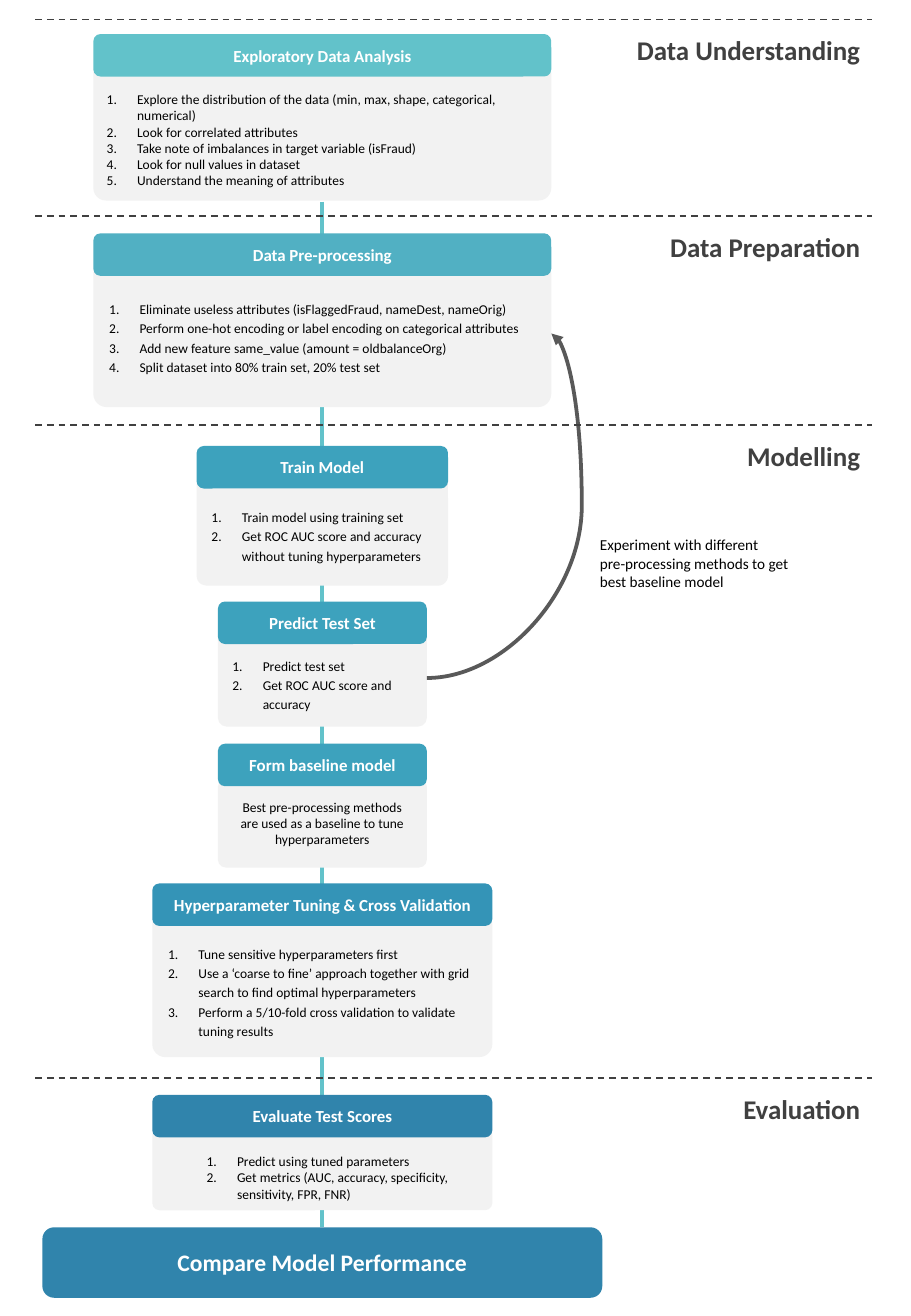
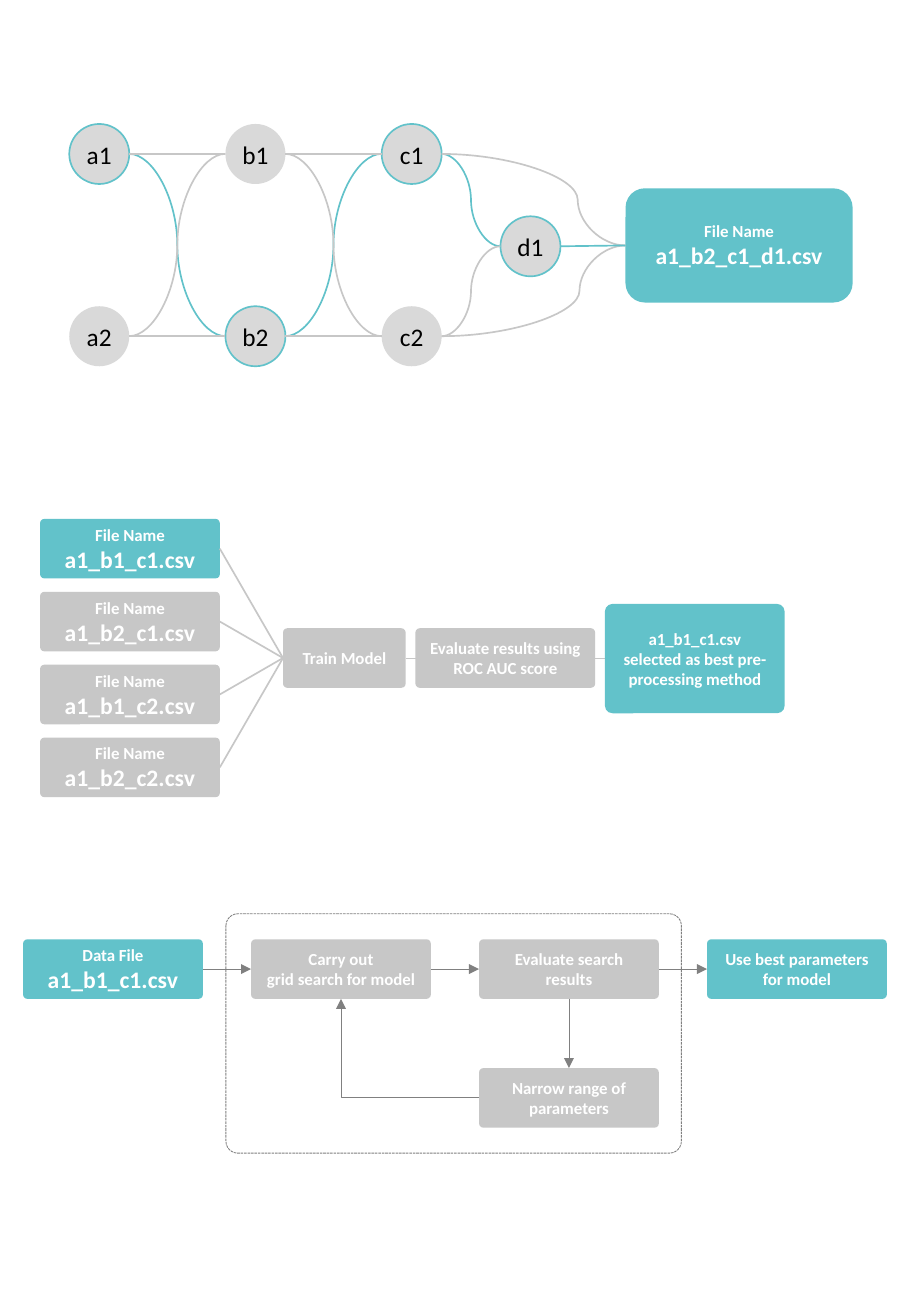
import pptx
import pptx.util
import pptx.dml.color
import pptx.enum.shapes
import pptx.enum.text
import pptx.enum.dml
import pptx.oxml
import pptx.oxml.ns

Form = pptx.enum.shapes.MSO_SHAPE
Link = pptx.enum.shapes.MSO_CONNECTOR
Align = pptx.enum.text.PP_ALIGN
Dash = pptx.enum.dml.MSO_LINE
Pt = pptx.util.Pt
Inch = pptx.util.Inches

# Shared style
FONT = "Calibri"
TEAL, GREY, PALE, DISC = "62C2CA", "C7C7C7", "F2F2F2", "D9D9D9"
DARK, ARROW, SLIM = "404040", "595959", "808080"
BLACK, WHITE = "000000", "FFFFFF"
COLS, ROWS = 75, 108.3
SIDES = {"left": (0, 0.5), "right": (1, 0.5), "top": (0.5, 0), "bottom": (0.5, 1)}


def paint(code):
    return pptx.dml.color.RGBColor.from_string(code)


def node(tag, **traits):
    item = pptx.oxml.parse_xml(f"<a:{tag} {pptx.oxml.ns.nsdecls('a')}/>")
    for name, value in traits.items():
        item.set(name, value)
    return item


class Page:
    """Draws on one slide, measured in grid columns and rows."""

    def __init__(self, deck):
        self.shapes = deck.slides.add_slide(deck.slide_layouts[6]).shapes
        self.col = deck.slide_width / COLS
        self.row = deck.slide_height / ROWS

    def spot(self, x, y):
        return round(x * self.col), round(y * self.row)

    def port(self, shape, side):
        across, down = SIDES[side]
        return (round(shape.left + across * shape.width),
                round(shape.top + down * shape.height))

    def letter(self, shape, text, sizes, color, bold=False, align=Align.CENTER,
               pads=(0.1, 0.05, 0.1, 0.05), space=None, listed=False):
        frame = shape.text_frame
        frame.word_wrap = True
        (frame.margin_left, frame.margin_top,
         frame.margin_right, frame.margin_bottom) = map(Inch, pads)
        frame.text = text
        for i, para in enumerate(frame.paragraphs):
            para.alignment = align
            if space:
                para.line_spacing = space
            if listed:
                props = para._p.get_or_add_pPr()
                props.set("marL", str(Inch(0.25)))
                props.set("indent", str(-Inch(0.25)))
                props.append(node("buAutoNum", type="arabicPeriod"))
            for run in para.runs:
                run.font.name = FONT
                run.font.size = Pt(sizes[min(i, len(sizes) - 1)])
                run.font.bold = bold
                run.font.color.rgb = paint(color)

    def box(self, x, y, w, h, fill=None, curve=None, edge=None,
            form=Form.ROUNDED_RECTANGLE):
        shape = self.shapes.add_shape(form, *self.spot(x, y), *self.spot(w, h))
        shape.shadow.inherit = False
        if curve is not None:
            shape.adjustments[0] = curve
        if fill:
            shape.fill.solid()
            shape.fill.fore_color.rgb = paint(fill)
        else:
            shape.fill.background()
        if edge:
            shape.line.color.rgb = paint(edge)
            shape.line.width = Pt(1)
        else:
            shape.line.fill.background()
        shape.text_frame.vertical_anchor = pptx.enum.text.MSO_ANCHOR.MIDDLE
        return shape

    def label(self, text, x, y, w, h, size, color, **look):
        shape = self.shapes.add_textbox(*self.spot(x, y), *self.spot(w, h))
        self.letter(shape, text, [size], color, **look)
        shape.text_frame.auto_size = pptx.enum.text.MSO_AUTO_SIZE.SHAPE_TO_FIT_TEXT

    def head(self, text, x, y, w, fill, h=3.5, size=10):
        shape = self.box(x, y, w, h, fill)
        self.letter(shape, text, [size], WHITE, bold=True)

    def tile(self, text, x, y, fill=GREY, w=14.8, h=4.9, curve=0.07, sizes=(10,)):
        shape = self.box(x, y, w, h, fill, curve)
        self.letter(shape, text, sizes, WHITE, bold=True)
        return shape

    def disc(self, text, x, y, edge):
        shape = self.box(x, y, 4.94, 4.94, DISC, edge=edge, form=Form.OVAL)
        self.letter(shape, text, [15], BLACK, pads=(0.04, 0.05, 0.04, 0.05))
        return shape

    def wire(self, start, end, color, width=1, kind=Link.STRAIGHT,
             dash=None, arrow=False, bend=None):
        turn = kind == Link.ELBOW
        if turn:
            start, end = end, start
        line = self.shapes.add_connector(kind, *start, *end)
        line.line.color.rgb = paint(color)
        line.line.width = Pt(width)
        if dash:
            line.line.dash_style = dash
        props = line._element.spPr
        shape = props.find(pptx.oxml.ns.qn("a:prstGeom"))
        if turn:  # one corner, drawn back to front by a half turn
            shape.set("prst", "bentConnector2")
            props.find(pptx.oxml.ns.qn("a:xfrm")).set("rot", "10800000")
        if bend:
            guide = node("gd", name="adj1", fmla=f"val {round(bend * 100000)}")
            shape.find(pptx.oxml.ns.qn("a:avLst")).append(guide)
        if arrow:
            props.find(pptx.oxml.ns.qn("a:ln")).append(node("tailEnd", type="triangle"))
        props.append(node("effectLst"))


deck = pptx.Presentation()
deck.slide_width, deck.slide_height = Inch(7.5), Inch(10.83)

# Slide 1: process from data to model choice
page = Page(deck)
AXIS = 26.54
page.wire(page.spot(AXIS, 16.6), page.spot(AXIS, 101), TEAL, 2.25)

# head, colour, width, head top, body top, body height, pads, spacing, lines
steps = [
    ("Exploratory Data Analysis", TEAL, 37.7, 2.8, 5, 11.5,
     (0.08, 0.2, 0.08, 0.05), None,
     ["Explore the distribution of the data (min, max, shape, categorical, numerical)",
      "Look for correlated attributes",
      "Take note of imbalances in target variable (isFraud)",
      "Look for null values in dataset",
      "Understand the meaning of attributes"]),
    ("Data Pre-processing", "51B0C3", 37.7, 19.2, 21.4, 12.1,
     (0.1, 0.21, 0.1, 0.16), 1.2,
     ["Eliminate useless attributes (isFlaggedFraud, nameDest, nameOrig)",
      "Perform one-hot encoding or label encoding on categorical attributes",
      "Add new feature same_value (amount = oldbalanceOrg)",
      "Split dataset into 80% train set, 20% test set"]),
    ("Train Model", "3DA2BD", 20.7, 36.7, 39, 9.2,
     (0.1, 0.2, 0.1, 0.12), 1.2,
     ["Train model using training set",
      "Get ROC AUC score and accuracy without tuning hyperparameters"]),
    ("Predict Test Set", "3DA2BD", 17.2, 49.5, 51.8, 8,
     (0.1, 0.2, 0.1, 0.11), 1.2,
     ["Predict test set", "Get ROC AUC score and accuracy"]),
    ("Form baseline model", "3DA2BD", 17.2, 61.2, 64.1, 7.3,
     (0.1, 0.05, 0.1, 0.05), None,
     ["Best pre-processing methods are used as a baseline to tune hyperparameters"]),
    ("Hyperparameter Tuning & Cross Validation", "3494B7", 28, 72.7, 75, 12,
     (0.1, 0.16, 0.1, 0.05), 1.2,
     ["Tune sensitive hyperparameters first",
      "Use a ‘coarse to fine’ approach together with grid search to find "
      "optimal hyperparameters",
      "Perform a 5/10-fold cross validation to validate tuning results"]),
    ("Evaluate Test Scores", "3084AC", 28, 90.1, 92.8, 6.8,
     (0.43, 0.19, 0.1, 0.05), None,
     ["Predict using tuned parameters",
      "Get metrics (AUC, accuracy, specificity, sensitivity, FPR, FNR)"]),
]
bodies = {}
for title, fill, wide, top, low, high, pads, space, lines in steps:
    left = AXIS - wide / 2
    many = len(lines) > 1
    body = bodies[title] = page.box(left, low, wide, high, PALE, 0.09)
    page.letter(body, "\n".join(lines), [8], BLACK, pads=pads, space=space,
                listed=many, align=Align.LEFT if many else Align.CENTER)
    page.head(title, left, top, wide, fill)
page.head("Compare Model Performance", AXIS - 23.05, 101, 46.1, "3084AC", 5.8, 14)

# Feedback loop
page.wire(page.port(bodies["Predict Test Set"], "right"),
          page.port(bodies["Data Pre-processing"], "right"),
          ARROW, 2.25, Link.CURVE, arrow=True, bend=1.245)
page.label("Experiment with different\npre-processing methods to get best baseline model",
           48.4, 43.6, 17.8, 5.6, 9, BLACK, align=Align.LEFT)

# Stages
EDGE = 71.8
for stage, y, wide in [("Data Understanding", 1.6, 22), ("Data Preparation", 17.8, 19.3),
                       ("Modelling", 35, 19.3), ("Evaluation", 88.7, 19.3)]:
    page.label(stage, EDGE - wide, y + 0.7, wide, 3.7, 16, DARK,
               bold=True, align=Align.RIGHT)
    page.wire(page.spot(2.9, y), page.spot(EDGE, y), DARK, dash=Dash.DASH)

# Slide 2: file naming, model choice and search
page = Page(deck)
discs = {}
for i, group in enumerate("abc"):
    for j in range(2):
        name = f"{group}{j + 1}"
        edge = TEAL if name in ("a1", "b2", "c1") else None
        discs[name] = page.disc(name, 5.7 + 12.86 * i, 10.2 + 15 * j, edge)
discs["d1"] = page.disc("d1", 41.2, 17.8, TEAL)
discs["file"] = page.tile("File Name\na1_b2_c1_d1.csv", 51.5, 15.5, TEAL,
                          18.7, 9.4, 0.17, (10, 14))

# Paths between the discs
for first, last, color, kind, bend in [
        ("a1", "b2", TEAL, Link.CURVE, None), ("b2", "c1", TEAL, Link.CURVE, None),
        ("a2", "b1", GREY, Link.CURVE, None), ("b1", "c2", GREY, Link.CURVE, None),
        ("a1", "b1", GREY, Link.STRAIGHT, None), ("b1", "c1", GREY, Link.STRAIGHT, None),
        ("a2", "b2", GREY, Link.STRAIGHT, None), ("b2", "c2", GREY, Link.STRAIGHT, None),
        ("c1", "d1", TEAL, Link.CURVE, None), ("c2", "d1", GREY, Link.CURVE, None),
        ("c1", "file", GREY, Link.CURVE, 0.74), ("c2", "file", GREY, Link.CURVE, 0.75),
        ("d1", "file", TEAL, Link.STRAIGHT, None)]:
    page.wire(page.port(discs[first], "right"), page.port(discs[last], "left"),
              color, kind=kind, bend=bend)

# Choice of the best file
page.wire(page.spot(33.4, 54.2), page.spot(49.8, 54.2), GREY)
train = page.tile("Train Model", 23.3, 51.7, w=10.1)
page.tile("Evaluate results using ROC AUC score", 34.2, 51.7)
page.tile("a1_b1_c1.csv selected as best pre-processing method", 49.8, 49.7, TEAL, h=9)
for i, name in enumerate(["a1_b1_c1", "a1_b2_c1", "a1_b1_c2", "a1_b2_c2"]):
    file = page.tile(f"File Name\n{name}.csv", 3.3, 42.7 + 6 * i,
                     GREY if i else TEAL, sizes=(10, 14))
    page.wire(page.port(file, "right"), page.port(train, "left"), GREY)

# Search loop
loop = page.box(18.6, 75.2, 37.5, 19.7, curve=0.05, edge=SLIM)
loop.line.width = Pt(0.5)
loop.line.dash_style = Dash.SQUARE_DOT
START, STEP, TOP = 1.9, 18.77, 77.3
data = page.tile("Data File\na1_b1_c1.csv", START, TOP, TEAL, sizes=(10, 14))
search = page.tile("Carry out\ngrid search for model", START + STEP, TOP)
rate = page.tile("Evaluate search results", START + 2 * STEP, TOP)
narrow = page.tile("Narrow range of parameters", START + 2 * STEP, 87.9)
best = page.tile("Use best parameters for model", START + 3 * STEP, TOP, TEAL)
for first, out, last, into, kind in [
        (data, "right", search, "left", Link.STRAIGHT),
        (search, "right", rate, "left", Link.STRAIGHT),
        (rate, "bottom", narrow, "top", Link.STRAIGHT),
        (narrow, "left", search, "bottom", Link.ELBOW),
        (rate, "right", best, "left", Link.STRAIGHT)]:
    page.wire(page.port(first, out), page.port(last, into), SLIM, 0.5, kind, arrow=True)

deck.save("out.pptx")
